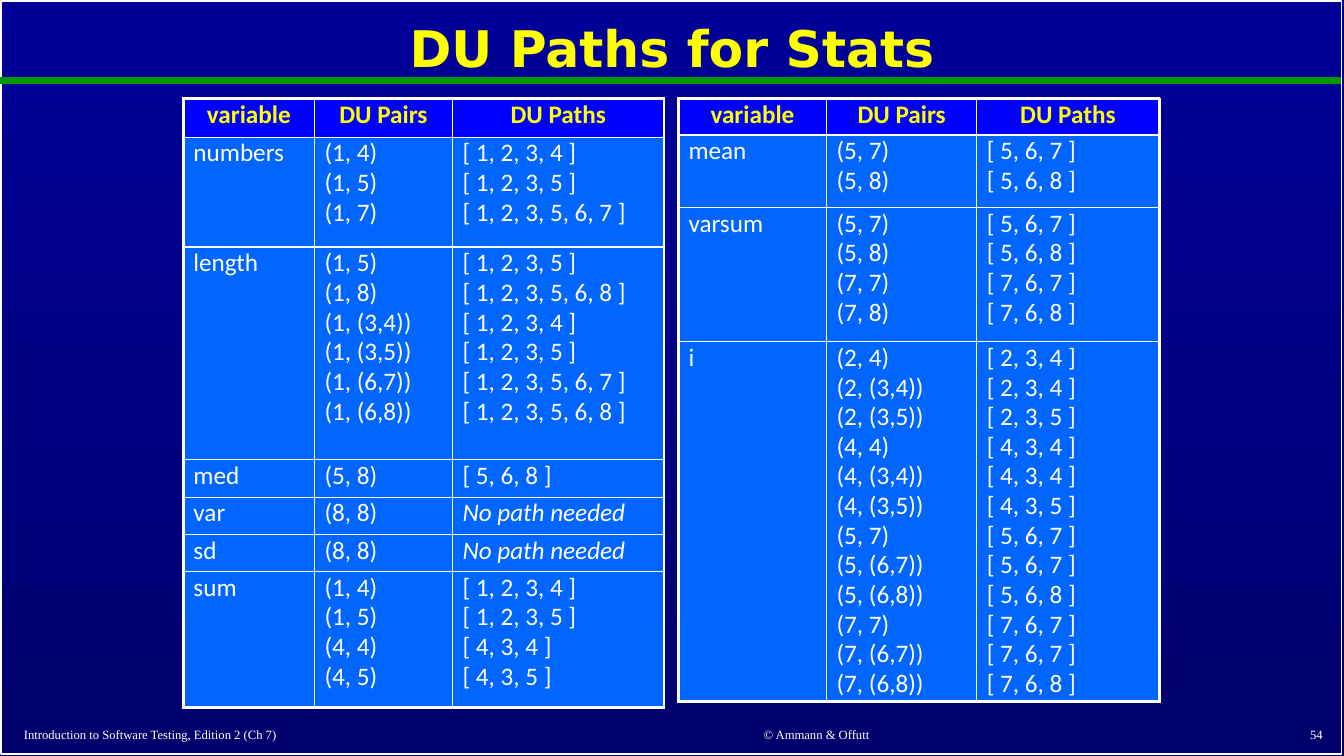
from lxml.etree import SubElement
from pptx import Presentation
from pptx.dml.color import RGBColor
from pptx.enum.shapes import MSO_CONNECTOR, MSO_SHAPE
from pptx.enum.text import MSO_ANCHOR, PP_ALIGN
from pptx.oxml.ns import qn
from pptx.util import Pt

WHITE = RGBColor(0xFF, 0xFF, 0xFF)
YELLOW = RGBColor(0xFF, 0xFF, 0x00)
GREEN = RGBColor(0x00, 0x99, 0x00)
HEADER_BLUE = RGBColor(0x00, 0x00, 0xFF)
CELL_BLUE = RGBColor(0x00, 0x66, 0xFF)
TOP_BLUE = RGBColor(0x00, 0x00, 0x99)
BOTTOM_BLUE = RGBColor(0x00, 0x00, 0x6D)

HEADINGS = ("variable", "DU Pairs", "DU Paths")
NO_PATH = "No path needed"

# Each row: height, variable, DU pairs, DU paths
LEFT_ROWS = [
    (78.5, "numbers", ["(1, 4)", "(1, 5)", "(1, 7)"],
     ["[ 1, 2, 3, 4 ]", "[ 1, 2, 3, 5 ]", "[ 1, 2, 3, 5, 6, 7 ]"]),
    (152, "length",
     ["(1, 5)", "(1, 8)", "(1, (3,4))", "(1, (3,5))", "(1, (6,7))", "(1, (6,8))"],
     ["[ 1, 2, 3, 5 ]", "[ 1, 2, 3, 5, 6, 8 ]", "[ 1, 2, 3, 4 ]",
      "[ 1, 2, 3, 5 ]", "[ 1, 2, 3, 5, 6, 7 ]", "[ 1, 2, 3, 5, 6, 8 ]"]),
    (26.6, "med", ["(5, 8)"], ["[ 5, 6, 8 ]"]),
    (26.6, "var", ["(8, 8)"], [NO_PATH]),
    (26.6, "sd", ["(8, 8)"], [NO_PATH]),
    (97, "sum", ["(1, 4)", "(1, 5)", "(4, 4)", "(4, 5)"],
     ["[ 1, 2, 3, 4 ]", "[ 1, 2, 3, 5 ]", "[ 4, 3, 4 ]", "[ 4, 3, 5 ]"]),
]
RIGHT_ROWS = [
    (51.8, "mean", ["(5, 7)", "(5, 8)"], ["[ 5, 6, 7 ]", "[ 5, 6, 8 ]"]),
    (95.8, "varsum", ["(5, 7)", "(5, 8)", "(7, 7)", "(7, 8)"],
     ["[ 5, 6, 7 ]", "[ 5, 6, 8 ]", "[ 7, 6, 7 ]", "[ 7, 6, 8 ]"]),
    (257, "i",
     ["(2, 4)", "(2, (3,4))", "(2, (3,5))", "(4, 4)", "(4, (3,4))", "(4, (3,5))",
      "(5, 7)", "(5, (6,7))", "(5, (6,8))", "(7, 7)", "(7, (6,7))", "(7, (6,8))"],
     ["[ 2, 3, 4 ]", "[ 2, 3, 4 ]", "[ 2, 3, 5 ]", "[ 4, 3, 4 ]", "[ 4, 3, 4 ]",
      "[ 4, 3, 5 ]", "[ 5, 6, 7 ]", "[ 5, 6, 7 ]", "[ 5, 6, 8 ]", "[ 7, 6, 7 ]",
      "[ 7, 6, 7 ]", "[ 7, 6, 8 ]"]),
]
# Each table: left edge, heading height, column widths, rows
TABLES = [
    (131, 27.4, (93.6, 98.6, 151.2), LEFT_ROWS),
    (484.6, 25.9, (105.8, 107.3, 130.3), RIGHT_ROWS),
]


def write_lines(frame, lines, font, size, color, align=PP_ALIGN.LEFT,
                bold=False, spacing=1.0, gap=0):
    """Fill a text frame with one paragraph per line; gap is the space between them."""
    for index, line in enumerate(lines):
        para = frame.paragraphs[0] if index == 0 else frame.add_paragraph()
        para.alignment = align
        para.line_spacing = spacing
        para.space_before = Pt(gap if index else 0)
        span = para.add_run()
        span.text = line
        span.font.name = font
        span.font.size = Pt(size)
        span.font.color.rgb = color
        span.font.bold = bold
        span.font.italic = line == NO_PATH


def set_borders(cell, **widths):
    """Draw white cell borders; keywords lnL, lnR, lnT, lnB give widths in points."""
    properties = cell._tc.get_or_add_tcPr()
    for side, width in widths.items():
        line = SubElement(properties, qn(f"a:{side}"), w=str(Pt(width)))
        fill = SubElement(line, qn("a:solidFill"))
        SubElement(fill, qn("a:srgbClr"), val=str(WHITE))


deck = Presentation()
deck.slide_width, deck.slide_height = Pt(960), Pt(540)
page = deck.slides.add_slide(deck.slide_layouts[6])

backdrop = page.background.fill
backdrop.gradient()
backdrop.gradient_angle = 270
for stop, color, position in zip(backdrop.gradient_stops, (TOP_BLUE, BOTTOM_BLUE), (0, 1)):
    stop.color.rgb = color
    stop.position = position

border = page.shapes.add_shape(MSO_SHAPE.RECTANGLE, Pt(0.7), Pt(0.7), Pt(957.6), Pt(538))
border.shadow.inherit = False
border.fill.background()
border.line.color.rgb = WHITE
border.line.width = Pt(1)

rule = page.shapes.add_connector(MSO_CONNECTOR.STRAIGHT, Pt(0), Pt(57.5), Pt(957.6), Pt(57.5))
rule.line.color.rgb = GREEN
rule.line.width = Pt(4.5)
SubElement(rule._element.spPr, qn("a:effectLst"))

footer_format = dict(font="Times New Roman", size=9, color=WHITE)
title_format = dict(font="DejaVu Sans", size=36, color=YELLOW, bold=True, spacing=0.9)
TEXTS = [
    ("Introduction to Software Testing, Edition 2 (Ch 7)",
     (10, 515.5, 394.6, 18.7), PP_ALIGN.LEFT, footer_format),
    ("© Ammann & Offutt", (431.3, 515.5, 303.8, 18.7), PP_ALIGN.CENTER, footer_format),
    ("54", (751.7, 515.5, 200.2, 18.7), PP_ALIGN.RIGHT, footer_format),
    ("DU Paths for Stats", (174, 8, 612, 57), PP_ALIGN.CENTER, title_format),
]
for text, place, align, text_format in TEXTS:
    box = page.shapes.add_textbox(*map(Pt, place))
    box.text_frame.word_wrap = True
    box.text_frame.vertical_anchor = MSO_ANCHOR.MIDDLE
    write_lines(box.text_frame, [text], align=align, **text_format)

for left, heading_height, widths, rows in TABLES:
    heights = [heading_height] + [row[0] for row in rows]
    contents = [[[heading] for heading in HEADINGS]]
    contents += [[[variable], pairs, paths] for _, variable, pairs, paths in rows]
    last_row, last_column = len(heights) - 1, len(widths) - 1
    table = page.shapes.add_table(len(heights), len(widths), Pt(left), Pt(70.6),
                                  Pt(sum(widths)), Pt(sum(heights))).table
    table.first_row = table.horz_banding = False
    for column, width in zip(table.columns, widths):
        column.width = Pt(width)
    for r, height in enumerate(heights):
        table.rows[r].height = Pt(height)
        is_heading = r == 0
        for c, lines in enumerate(contents[r]):
            cell = table.cell(r, c)
            set_borders(cell,
                        lnL=2.25 if c == 0 else 1,
                        lnR=2.25 if c == last_column else 1,
                        lnT=2.25 if is_heading else 1,
                        lnB=2.25 if r == last_row else 1)
            cell.fill.solid()
            cell.fill.fore_color.rgb = HEADER_BLUE if is_heading else CELL_BLUE
            write_lines(cell.text_frame, lines, font="Calibri", size=18,
                        color=YELLOW if is_heading else WHITE, bold=is_heading,
                        align=PP_ALIGN.CENTER if is_heading else PP_ALIGN.LEFT,
                        spacing=0.8, gap=3.6)

deck.save("out.pptx")
